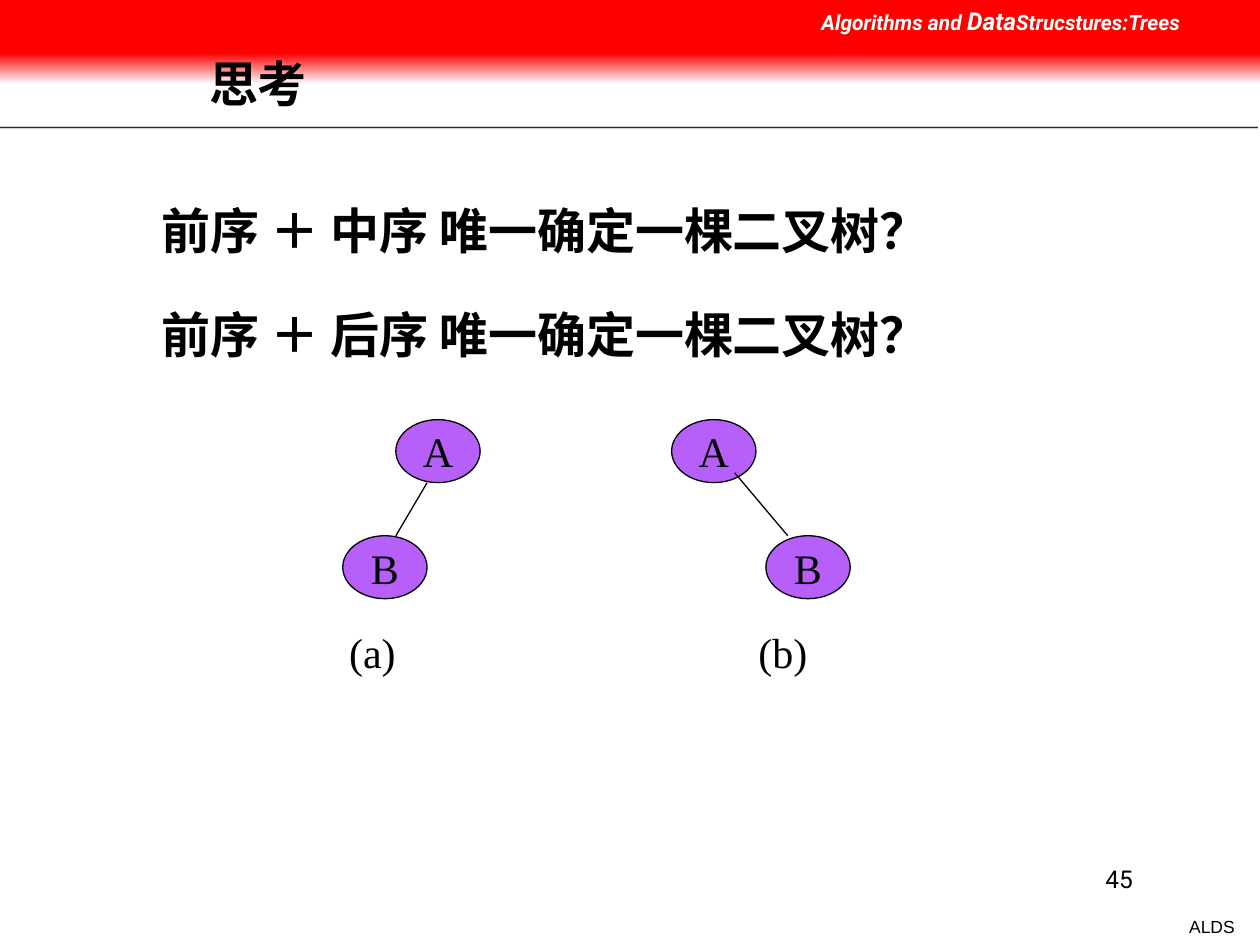
from pptx import Presentation
from pptx.dml.color import RGBColor
from pptx.enum.shapes import MSO_CONNECTOR, MSO_SHAPE
from pptx.enum.text import MSO_ANCHOR, MSO_AUTO_SIZE, PP_ALIGN
from pptx.oxml.ns import qn
from pptx.util import Cm, Pt
from lxml import etree

BLACK = RGBColor(0x00, 0x00, 0x00)
WHITE = RGBColor(0xFF, 0xFF, 0xFF)
RED = RGBColor(0xFF, 0x00, 0x00)
BLUE = RGBColor(0x00, 0x27, 0x9F)
GREY = RGBColor(0xCE, 0xCE, 0xCE)
VIOLET = RGBColor(0xB7, 0x60, 0xF9)

RECT, OVAL = MSO_SHAPE.RECTANGLE, MSO_SHAPE.OVAL
STRAIGHT = MSO_CONNECTOR.STRAIGHT
LEFT, CENTER, RIGHT = PP_ALIGN.LEFT, PP_ALIGN.CENTER, PP_ALIGN.RIGHT
TOP, MIDDLE = MSO_ANCHOR.TOP, MSO_ANCHOR.MIDDLE
NO_FIT = MSO_AUTO_SIZE.NONE

SANS, SERIF, HAN, PLAIN = "Roboto", "Times New Roman", "Noto Sans CJK SC", "Arial"
NODE_W, NODE_H = 1.7, 1.27
LEVEL = 2.34  # drop from one tree level to the next


def set_font(para, name, size, color=BLACK, bold=False):
    font = para.font
    font.name, font.size, font.bold = name, Pt(size), bold
    font.color.rgb = color


def set_han(para):
    """Bold Chinese text, with the East Asian typeface set too."""
    set_font(para, HAN, 28, bold=True)
    latin = para._p.pPr.find(qn("a:defRPr")).find(qn("a:latin"))
    east = etree.Element(qn("a:ea"))
    east.set("typeface", HAN)
    latin.addnext(east)


def add_text(slide, box, text, name, size, align=LEFT, indent=0):
    frame = slide.shapes.add_textbox(*map(Cm, box)).text_frame
    frame.word_wrap = True
    para = frame.paragraphs[0]
    para.text, para.alignment = text, align
    para._p.get_or_add_pPr().set("marL", str(Cm(indent)))
    set_font(para, name, size)
    return para


def add_line(slide, x1, y1, x2, y2, color=BLACK, width=0.75):
    line = slide.shapes.add_connector(STRAIGHT, *map(Cm, (x1, y1, x2, y2)))
    line.line.color.rgb, line.line.width = color, Pt(width)
    etree.SubElement(line.element.spPr, qn("a:effectLst"))


def add_shape(slide, kind, box):
    shape = slide.shapes.add_shape(kind, *map(Cm, box))
    shape.shadow.inherit = False
    return shape


def add_header(slide, left, top, width):
    # Red band fading into white
    fade = add_shape(slide, RECT, (left, top + 1.07, width, 0.63))
    fade.fill.gradient()
    fade.fill.gradient_angle = 270
    for stop, color, place in zip(fade.fill.gradient_stops, (RED, WHITE), (0, 1)):
        stop.color.rgb, stop.position = color, place
    band = add_shape(slide, RECT, (left, top, width, 1.07))
    band.fill.solid()
    band.fill.fore_color.rgb = RED
    for part in (fade, band):
        part.line.fill.background()

    # Course name
    para = add_text(slide, (left + 16.31, top, 9.09, 0.86), "", SANS, 12)
    set_font(para, SANS, 12, WHITE, bold=True)
    para.font.italic = True
    for text, size in (("Algorithms and ", 12), ("Data", 14), ("Strucstures:Trees", 12)):
        run = para.add_run()
        run.text, run.font.size = text, Pt(size)

    # Rule under the title
    for drop, color, weight in ((2.57, GREY, 2), (2.57, BLUE, 1), (2.62, WHITE, 1)):
        y = top + drop
        add_line(slide, left, y, left + width - 0.05, y, color, weight)


def fill_holder(slide, holder, box, lines, anchor):
    """Put lines into a placeholder and bring it to the front."""
    holder.left, holder.top, holder.width, holder.height = map(Cm, box)
    slide.shapes.element.append(holder.element)
    frame = holder.text_frame
    frame.text = "\n".join(lines)
    frame.auto_size, frame.vertical_anchor = NO_FIT, anchor
    for para in frame.paragraphs:
        props = para._p.get_or_add_pPr()
        props.set("marL", "0")
        props.set("indent", "0")
        etree.SubElement(props, qn("a:buNone"))
        para.alignment, para.space_before = LEFT, Pt(0)
        set_han(para)
    return frame


def add_node(slide, left, top, text):
    node = add_shape(slide, OVAL, (left, top, NODE_W, NODE_H))
    node.fill.solid()
    node.fill.fore_color.rgb = VIOLET
    node.line.color.rgb, node.line.width = BLACK, Pt(0.75)
    frame = node.text_frame
    frame.word_wrap, frame.vertical_anchor = False, MIDDLE
    para = frame.paragraphs[0]
    para.text, para.alignment = text, CENTER
    set_font(para, SERIF, 24)


def add_tree(slide, left, top, root, child, edge, label, shift):
    """Two-node tree; root, child, edge and shift are offsets in its box."""
    add_text(slide, (left + shift, top + 4.04, 4, 1.3), label, SERIF, 24, indent=1.07)
    add_node(slide, left + root, top, "A")
    add_node(slide, left + child, top + LEVEL, "B")
    x1, y1, x2 = edge
    add_line(slide, left + x1, top + y1, left + x2, top + LEVEL)


def add_footer(slide, left, top):
    add_text(slide, (left, top, 4.88, 1.27), "45", SANS, 14, RIGHT)
    add_text(slide, (left + 5, top + 1.04, 1.93, 0.69), "ALDS", PLAIN, 10, RIGHT)


def main():
    deck = Presentation()
    deck.slide_width, deck.slide_height = Cm(25.4), Cm(19.05)
    slide = deck.slides.add_slide(deck.slide_layouts[1])
    title, body = slide.placeholders

    add_header(slide, 0, 0, 25.4)
    add_footer(slide, 18.21, 17.3)

    # Title and questions
    frame = fill_holder(slide, title, (3.96, 0.81, 19.18, 1.88), ["思考"], MIDDLE)
    frame.paragraphs[0].line_spacing = 0.9
    asks = [f"前序 ＋ {order} 唯一确定一棵二叉树？" for order in ("中序", "后序")]
    frame = fill_holder(slide, body, (3, 3.91, 15.98, 6.2), asks, TOP)
    frame.word_wrap = False
    frame.paragraphs[1].space_before = Pt(26)

    # Two trees with the same preorder and postorder
    add_tree(slide, 5.72, 8.46, 2.26, 1.19, (2.89, 1.27, 2.26), "(a)", 0)
    add_tree(slide, 13.54, 8.46, 0, 1.9, (1.27, 1.07, 2.34), "(b)", 0.43)

    deck.save("out.pptx")


if __name__ == "__main__":
    main()
